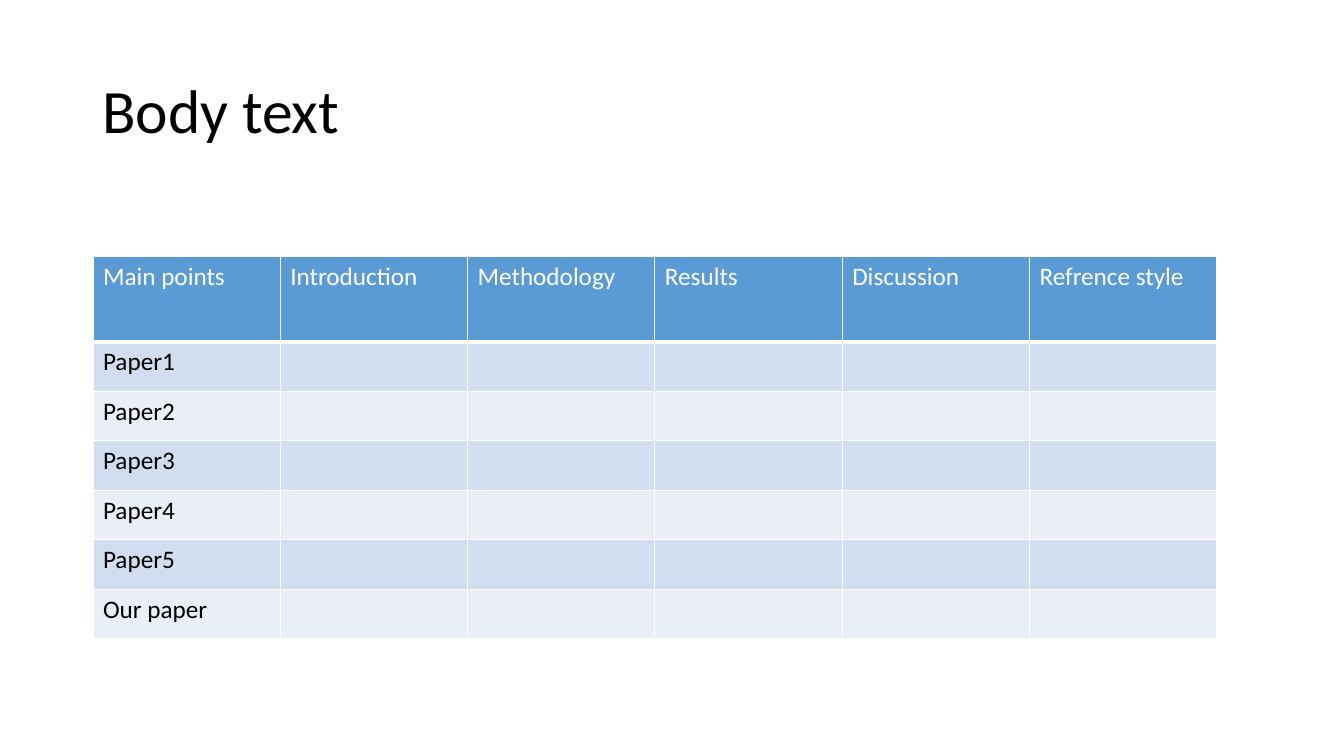
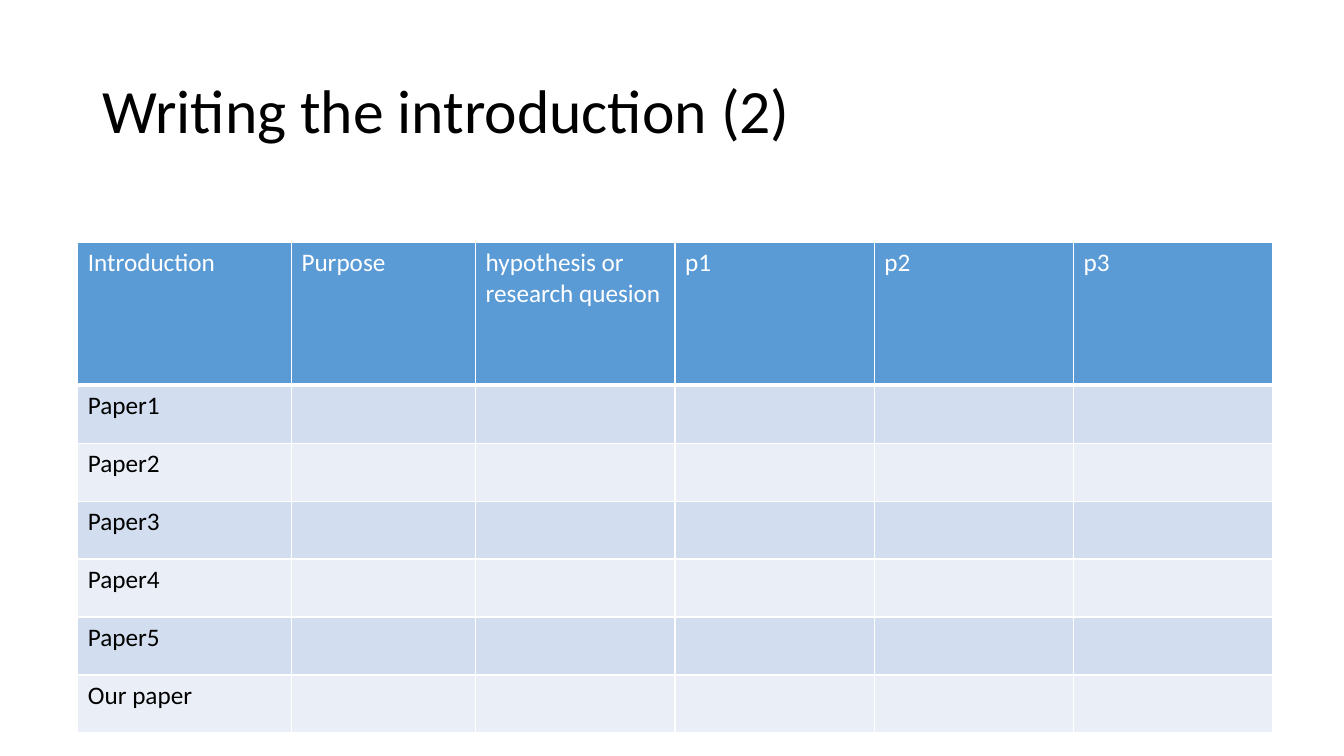
from dataclasses import dataclass

from lxml.etree import SubElement
from pptx import Presentation
from pptx.dml.color import RGBColor
from pptx.enum.text import MSO_ANCHOR
from pptx.oxml.ns import qn
from pptx.slide import Slide
from pptx.table import _Cell
from pptx.text.text import TextFrame
from pptx.util import Pt


@dataclass(frozen=True)
class Theme:
    font: str = "Calibri"
    ink: str = "000000"
    white: str = "FFFFFF"
    head: str = "5B9BD5"
    bands: tuple[str, str] = ("D2DEEF", "EAEFF7")
    title: float = 44
    body: float = 18
    thin: float = 1
    thick: float = 3


@dataclass(frozen=True)
class Grid:
    title: str
    heads: tuple[str, ...]
    left: float
    top: float
    widths: tuple[float, ...]
    head: float
    row: float


THEME = Theme()
PAPERS = (*(f"Paper{n}" for n in range(1, 6)), "Our paper")
GRIDS = (
    Grid(
        "Body text",
        ("Main points", "Introduction", "Methodology", "Results",
         "Discussion", "Refrence style"),
        left=66.4, top=182.9, widths=(133.8,) * 6, head=61.2, row=35.4,
    ),
    Grid(
        "Writing the introduction (2)",
        ("Introduction", "Purpose", "hypothesis or research quesion",
         "p1", "p2", "p3"),
        left=55.6, top=173.2, widths=(152.6, 131.6) + (142.4,) * 4,
        head=102, row=41.4,
    ),
)


def write(frame: TextFrame, text: str, *, size: float = THEME.body,
          color: str = THEME.ink, leading: float = 1) -> None:
    para = frame.paragraphs[0]
    para.line_spacing = leading
    para.font.size = Pt(size)
    if not text:
        return
    run = para.add_run()
    run.text = text
    font = run.font
    font.name, font.size, font.bold = THEME.font, Pt(size), False
    font.color.rgb = RGBColor.from_string(color)


def add_title(slide: Slide, text: str) -> None:
    box = slide.shapes.add_textbox(Pt(66), Pt(28.8), Pt(828), Pt(104.4))
    frame = box.text_frame
    frame.word_wrap = True
    frame.vertical_anchor = MSO_ANCHOR.MIDDLE
    write(frame, text, size=THEME.title, leading=0.9)


def paint(cell: _Cell, color: str, base: float) -> None:
    props = cell._tc.get_or_add_tcPr()
    for side in "LRTB":
        width = base if side == "B" else THEME.thin
        line = SubElement(props, qn(f"a:ln{side}"), w=str(Pt(width)))
        fill = SubElement(line, qn("a:solidFill"))
        SubElement(fill, qn("a:srgbClr"), val=THEME.white)
    cell.fill.solid()
    cell.fill.fore_color.rgb = RGBColor.from_string(color)


def add_grid(slide: Slide, grid: Grid) -> None:
    blanks = ("",) * (len(grid.heads) - 1)
    rows = (grid.heads, *((name, *blanks) for name in PAPERS))
    table = slide.shapes.add_table(
        len(rows), len(grid.heads), Pt(grid.left), Pt(grid.top),
        Pt(sum(grid.widths)), Pt(grid.head + grid.row * len(PAPERS)),
    ).table
    for col, width in zip(table.columns, grid.widths):
        col.width = Pt(width)
    for r, texts in enumerate(rows):
        first = r == 0
        table.rows[r].height = Pt(grid.head if first else grid.row)
        fill = THEME.head if first else THEME.bands[(r - 1) % 2]
        for c, text in enumerate(texts):
            cell = table.cell(r, c)
            paint(cell, fill, THEME.thick if first else THEME.thin)
            write(cell.text_frame, text,
                  color=THEME.white if first else THEME.ink)


def main() -> None:
    deck = Presentation()
    deck.slide_width, deck.slide_height = Pt(960), Pt(540)
    for grid in GRIDS:
        slide = deck.slides.add_slide(deck.slide_layouts[6])
        add_title(slide, grid.title)
        add_grid(slide, grid)
    deck.save("out.pptx")


if __name__ == "__main__":
    main()
